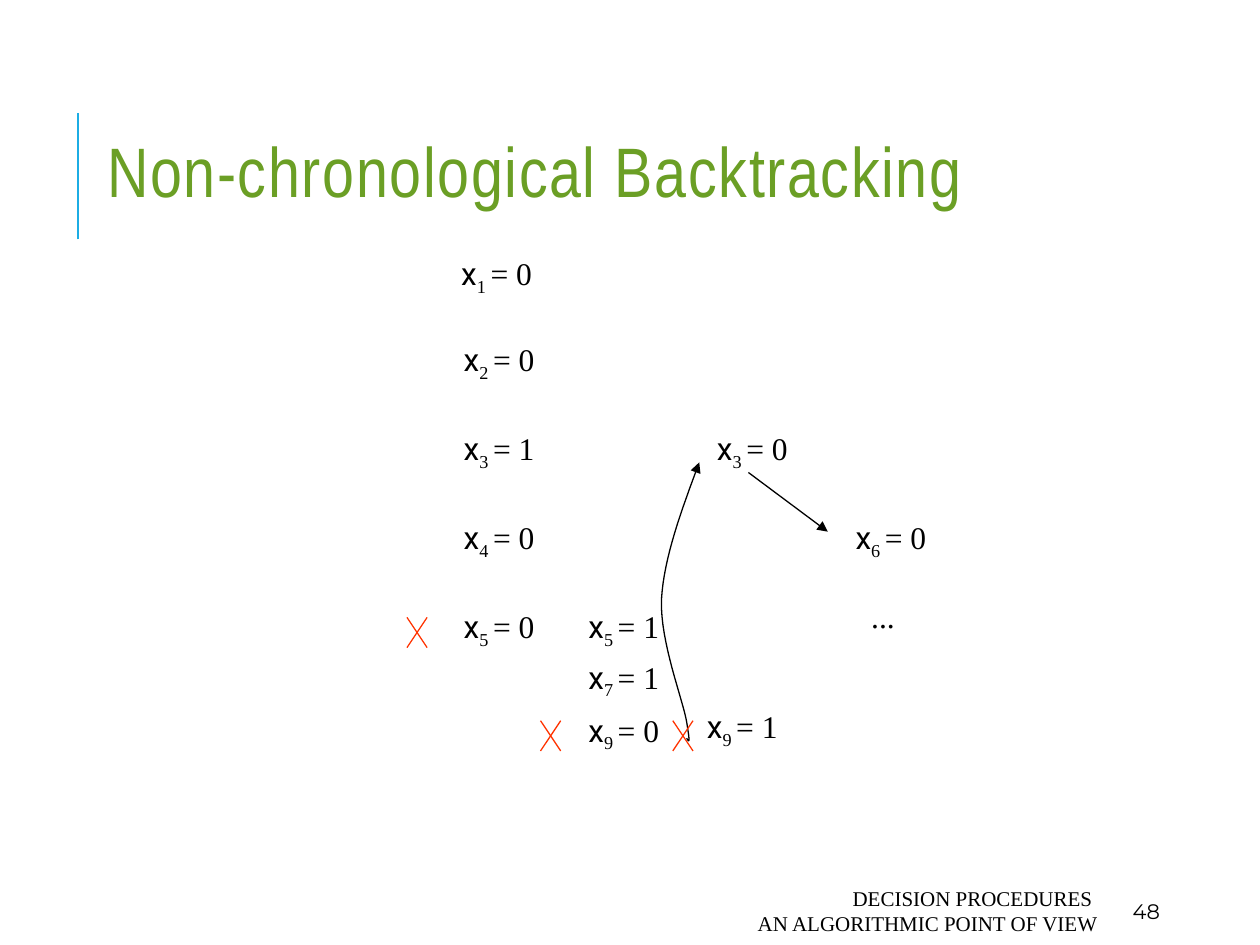
import lxml.etree
import pptx
import pptx.dml.color
import pptx.enum.shapes
import pptx.enum.text
import pptx.oxml.ns
import pptx.util

Inches = pptx.util.Inches
Pt = pptx.util.Pt
ALIGN = pptx.enum.text.PP_ALIGN
ANCHOR = pptx.enum.text.MSO_ANCHOR
AUTO_SIZE = pptx.enum.text.MSO_AUTO_SIZE

COLORS = {"title": "6B9F25", "accent": "1CADE4", "text": "000000", "conflict": "FF3300"}
SERIF = "Times New Roman"
TITLE = "Non-chronological Backtracking"
FOOTER = "DECISION PROCEDURES \vAN ALGORITHMIC POINT OF VIEW"
PAGE = "48"

ASSIGNMENTS = [
    ("1", "0", 3.52, 1.97),
    ("2", "0", 3.54, 2.65),
    ("3", "1", 3.54, 3.36),
    ("4", "0", 3.54, 4.06),
    ("5", "0", 3.54, 4.77),
    ("5", "1", 4.53, 4.77),
    ("7", "1", 4.53, 5.17),
    ("9", "0", 4.53, 5.59),
    ("9", "1", 5.47, 5.56),
    ("3", "0", 5.55, 3.36),
    ("6", "0", 6.65, 4.06),
]
CONFLICTS = [(3.23, 4.9), (4.29, 5.72), (5.34, 5.72)]
CROSS_WIDTH, CROSS_HEIGHT = 0.16, 0.24
BACKTRACK_START = (5.45, 5.86)
BACKTRACK_CURVES = [
    [(5.47, 5.89), (5.48, 5.91), (5.45, 5.73)],
    [(5.42, 5.55), (5.24, 5.1), (5.25, 4.76)],
    [(5.27, 4.42), (5.41, 4.05), (5.55, 3.67)],
]
CURVE_STEPS = 16


def color(name):
    return pptx.dml.color.RGBColor.from_string(COLORS[name])


def write_text(shape, runs, size=18, fill="text", align=ALIGN.LEFT,
               anchor=ANCHOR.TOP, wrap=True, grow=False, line_spacing=None, spacing=None):
    frame = shape.text_frame
    frame.word_wrap = wrap
    frame.auto_size = AUTO_SIZE.SHAPE_TO_FIT_TEXT if grow else AUTO_SIZE.NONE
    frame.vertical_anchor = anchor
    paragraph = frame.paragraphs[0]
    paragraph.alignment = align
    if line_spacing:
        paragraph.line_spacing = line_spacing
    for text, font_name, baseline in runs:
        for index, part in enumerate(text.split("\v")):
            if index:
                paragraph.add_line_break()
            run = paragraph.add_run()
            run.text = part
            run.font.name = font_name
            run.font.size = Pt(size)
            run.font.color.rgb = color(fill)
            properties = run.font._element
            if baseline:
                properties.set("baseline", str(baseline * 1000))
            if spacing:
                properties.set("spc", str(spacing * 100))


def add_text(slide, box, runs, **text_format):
    shape = slide.shapes.add_textbox(*map(Inches, box))
    write_text(shape, runs, **text_format)


def style_line(shape, name, width, arrow=False):
    shape.line.color.rgb = color(name)
    shape.line.width = Pt(width)
    if arrow:
        line = shape.line._get_or_add_ln()
        lxml.etree.SubElement(line, pptx.oxml.ns.qn("a:tailEnd"), type="triangle")


def add_line(shapes, start, end, name, width=0.75, arrow=False):
    connector = shapes.add_connector(
        pptx.enum.shapes.MSO_CONNECTOR.STRAIGHT, *map(Inches, (*start, *end)))
    style_line(connector, name, width, arrow)
    lxml.etree.SubElement(connector._element.spPr, pptx.oxml.ns.qn("a:effectLst"))


def add_cross(slide, left, top):
    right, bottom = left + CROSS_WIDTH, top + CROSS_HEIGHT
    group = slide.shapes.add_group_shape()
    add_line(group.shapes, (left, top), (right, bottom), "conflict")
    add_line(group.shapes, (left, bottom), (right, top), "conflict")


def curve_points(start, curves):
    points = []
    for first, second, end in curves:
        for step in range(1, CURVE_STEPS + 1):
            t = step / CURVE_STEPS
            weights = ((1 - t) ** 3, 3 * t * (1 - t) ** 2, 3 * t ** 2 * (1 - t), t ** 3)
            corners = (start, first, second, end)
            points.append(tuple(
                Inches(sum(weight * corner[axis] for weight, corner in zip(weights, corners)))
                for axis in (0, 1)))
        start = end
    return points


def add_backtrack(slide):
    builder = slide.shapes.build_freeform(*map(Inches, BACKTRACK_START))
    builder.add_line_segments(curve_points(BACKTRACK_START, BACKTRACK_CURVES), close=False)
    shape = builder.convert_to_shape()
    shape.shadow.inherit = False
    shape.fill.background()
    style_line(shape, "text", 0.75, arrow=True)


def main():
    presentation = pptx.Presentation()
    presentation.slide_width, presentation.slide_height = Inches(10), Inches(7.5)
    slide = presentation.slides.add_slide(presentation.slide_layouts[5])

    add_line(slide.shapes, (0.62, 1.9), (0.62, 0.9), "accent", 1.5)
    title = slide.shapes.title
    title.left, title.top, title.width, title.height = map(Inches, (0.75, 0.59, 7.97, 1.64))
    write_text(title, [(TITLE, "Arial Narrow", 0)], size=40, fill="title",
               anchor=ANCHOR.MIDDLE, line_spacing=0.8, spacing=1)
    add_text(slide, (3.97, 7.08, 4.84, 0.3), [(FOOTER, SERIF, 0)], size=12,
             align=ALIGN.RIGHT, anchor=ANCHOR.MIDDLE)
    add_text(slide, (8.89, 7.08, 0.8, 0.3), [(PAGE, "Montserrat", 0)], size=12,
             anchor=ANCHOR.MIDDLE)

    label_format = {"align": ALIGN.RIGHT, "wrap": False, "grow": True}
    for variable, value, left, top in ASSIGNMENTS:
        runs = [("x", "Roboto", 0), (f"{variable} ", SERIF, -25), (f"= {value}", SERIF, 0)]
        add_text(slide, (left, top, 0.8, 0.4), runs, **label_format)
    add_text(slide, (6.81, 4.69, 0.39, 0.4), [("...", SERIF, 0)], **label_format)

    add_line(slide.shapes, (5.94, 3.75), (6.57, 4.22), "text", arrow=True)
    add_backtrack(slide)
    for left, top in CONFLICTS:
        add_cross(slide, left, top)

    presentation.save("out.pptx")


if __name__ == "__main__":
    main()
